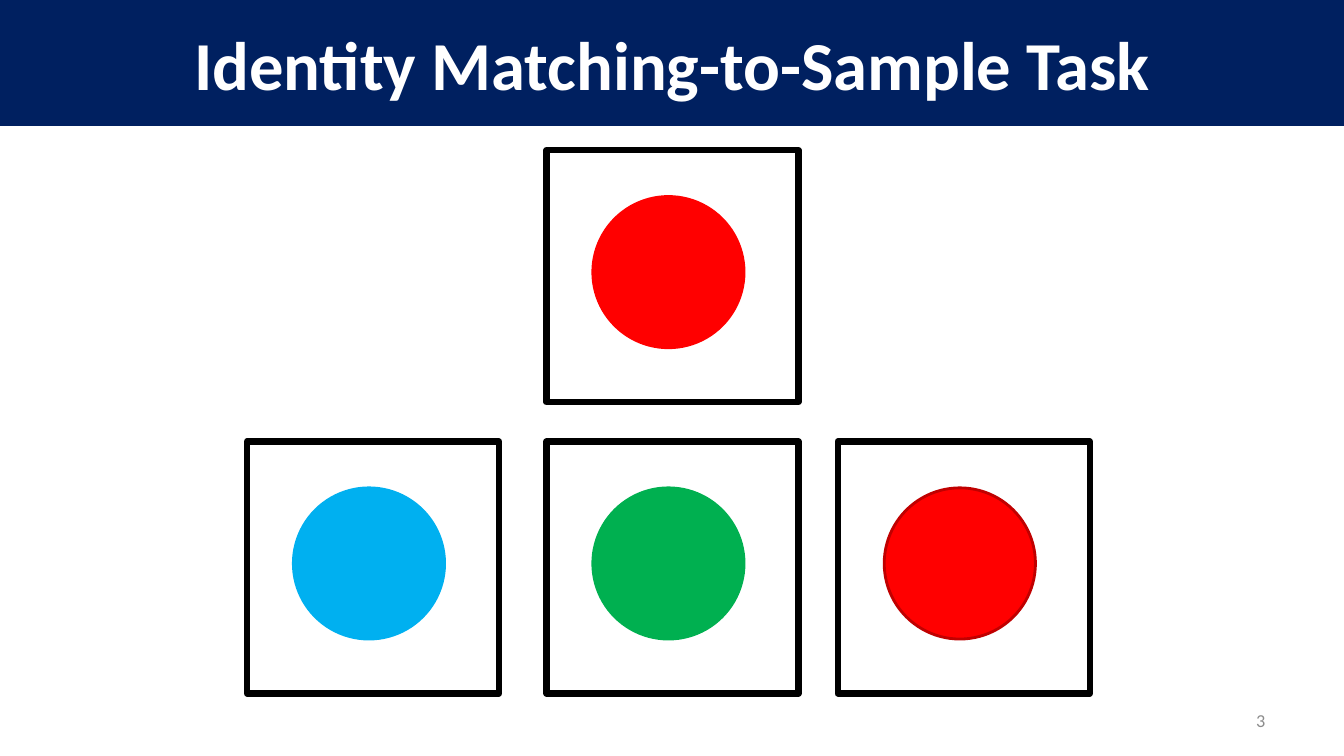
"""Build the identity matching-to-sample task slide."""
from pptx import Presentation
from pptx.dml.color import RGBColor
from pptx.enum.shapes import MSO_SHAPE
from pptx.enum.text import MSO_ANCHOR, MSO_AUTO_SIZE, PP_ALIGN
from pptx.oxml import parse_xml
from pptx.oxml.ns import nsdecls
from pptx.util import Inches, Pt

NAVY = RGBColor(0x00, 0x20, 0x60)
WHITE = RGBColor(0xFF, 0xFF, 0xFF)
BLACK = RGBColor(0x00, 0x00, 0x00)
GRAY = RGBColor(0x8C, 0x8C, 0x8C)
RED = RGBColor(0xFF, 0x00, 0x00)
DARK_RED = RGBColor(0xC0, 0x00, 0x00)
GREEN = RGBColor(0x00, 0xB0, 0x50)
BLUE = RGBColor(0x00, 0xB0, 0xF0)

CARD, DISC = 2.5, 1.5
INSET = 0.46


def write(tf, text, size, color, align, bold=False):
    tf.word_wrap = True
    tf.auto_size = MSO_AUTO_SIZE.NONE
    tf.vertical_anchor = MSO_ANCHOR.MIDDLE
    tf.margin_left = tf.margin_right = Inches(0.11)
    tf.margin_top = tf.margin_bottom = Inches(0.06)
    p = tf.paragraphs[0]
    p.alignment = align
    r = p.add_run()
    r.text = text
    r.font.name = "Calibri"
    r.font.size = Pt(size)
    r.font.bold = bold
    r.font.color.rgb = color


def draw(shapes, kind, x, y, size, fill, line, width):
    sp = shapes.add_shape(kind, Inches(x), Inches(y), Inches(size), Inches(size))
    sp.shadow.inherit = False
    if fill is None:
        sp.fill.background()
    else:
        sp.fill.solid()
        sp.fill.fore_color.rgb = fill
    sp.line.color.rgb = line
    sp.line.width = Pt(width)
    return sp


prs = Presentation()
prs.slide_width, prs.slide_height = Inches(13.33), Inches(7.5)
s = prs.slides.add_slide(prs.slide_layouts[5])

title = s.shapes.title
title.left, title.top = Inches(0), Inches(0)
title.width, title.height = Inches(13.33), Inches(1.25)
title.fill.solid()
title.fill.fore_color.rgb = NAVY
title.line.color.rgb = NAVY
title.line.width = Pt(0.75)
write(title.text_frame, "Identity Matching-to-Sample Task", 49, WHITE, PP_ALIGN.CENTER, bold=True)

number = s.shapes.add_textbox(Inches(9.55), Inches(6.95), Inches(3.11), Inches(0.4))
write(number.text_frame, "3", 13, GRAY, PP_ALIGN.RIGHT)

sample = [(5.42, 1.49, RED, RED)]
comparisons = [
    (5.42, 4.38, GREEN, GREEN),
    (2.45, 4.38, BLUE, BLUE),
    (8.31, 4.38, RED, DARK_RED),
]
for cards in (sample, comparisons):
    group = s.shapes.add_group_shape()
    for x, y, fill, line in cards:
        card = draw(group.shapes, MSO_SHAPE.RECTANGLE, x, y, CARD, None, BLACK, 4.5)
        card.element.spPr.find("{*}ln").append(parse_xml(f"<a:round {nsdecls('a')}/>"))
        draw(group.shapes, MSO_SHAPE.OVAL, x + INSET, y + INSET, DISC, fill, line, 2)

prs.save("out.pptx")
